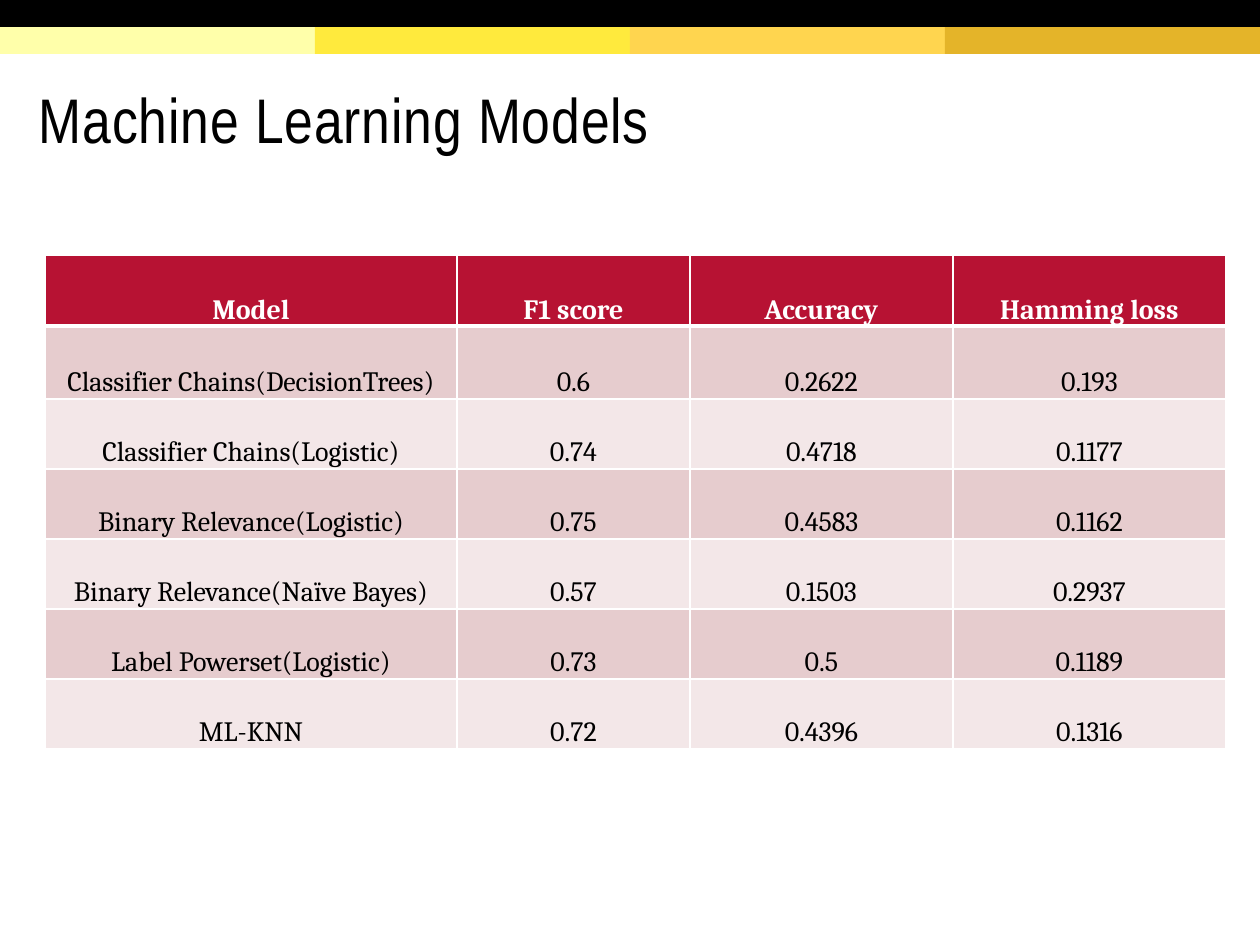
import lxml.etree
import pptx
import pptx.dml.color
import pptx.enum.shapes
import pptx.enum.text
import pptx.oxml.ns
import pptx.util

RGBColor = pptx.dml.color.RGBColor
BLACK = RGBColor(0x00, 0x00, 0x00)
WHITE = RGBColor(0xFF, 0xFF, 0xFF)
CRIMSON = RGBColor(0xB7, 0x12, 0x33)
ROSE = RGBColor(0xE6, 0xCC, 0xCE)
PALE_ROSE = RGBColor(0xF3, 0xE7, 0xE8)
BAND_COLORS = [
    RGBColor(0xFF, 0xFF, 0xAA),
    RGBColor(0xFF, 0xEA, 0x3D),
    RGBColor(0xFF, 0xD5, 0x4F),
    RGBColor(0xE4, 0xB4, 0x29),
]

SLIDE_WIDTH, SLIDE_HEIGHT = 1260, 945
BAND_HEIGHT = 27
COLUMN_WIDTHS = [412, 233, 263, 273]
ROW_HEIGHTS = [71, 73] + [70] * 5
RESULTS = [
    ("Model", "F1 score", "Accuracy", "Hamming loss"),
    ("Classifier Chains(DecisionTrees)", "0.6", "0.2622", "0.193"),
    ("Classifier Chains(Logistic)", "0.74", "0.4718", "0.1177"),
    ("Binary Relevance(Logistic)", "0.75", "0.4583", "0.1162"),
    ("Binary Relevance(Naïve Bayes)", "0.57", "0.1503", "0.2937"),
    ("Label Powerset(Logistic)", "0.73", "0.5", "0.1189"),
    ("ML-KNN", "0.72", "0.4396", "0.1316"),
]


def px(length):
    return pptx.util.Emu(round(length * 914400 / 126))


class SlideBuilder:
    title_font = "Arial Narrow"
    table_font = "Cambria"

    def __init__(self, slide):
        self.slide = slide

    def style_font(self, font, name, size, color, bold=False):
        font.name = name
        font.size = pptx.util.Pt(size)
        font.color.rgb = color
        font.bold = bold

    def set_margins(self, target, left, top, right, bottom):
        target.margin_left, target.margin_top = px(left), px(top)
        target.margin_right, target.margin_bottom = px(right), px(bottom)

    def rectangle(self, left, top, width, height, color):
        shape = self.slide.shapes.add_shape(
            pptx.enum.shapes.MSO_SHAPE.RECTANGLE,
            px(left), px(top), px(width), px(height))
        shape.shadow.inherit = False
        shape.fill.solid()
        shape.fill.fore_color.rgb = color
        shape.line.fill.background()

    def title(self, left, top, width, height, text):
        shape = self.slide.shapes.add_textbox(px(left), px(top), px(width), px(height))
        frame = shape.text_frame
        frame.word_wrap = True
        frame.vertical_anchor = pptx.enum.text.MSO_ANCHOR.MIDDLE
        self.set_margins(frame, 13, 13, 13, 6)
        paragraph = frame.paragraphs[0]
        paragraph.line_spacing = 0.85
        run = paragraph.add_run()
        run.text = text
        self.style_font(run.font, self.title_font, 36, BLACK)
        run.font._element.set("spc", "50")

    def borders(self, cell, top, bottom):
        properties = cell._tc.get_or_add_tcPr()
        widths = {"a:lnL": 1, "a:lnR": 1, "a:lnT": top, "a:lnB": bottom}
        for index, (tag, width) in enumerate(widths.items()):
            line = lxml.etree.Element(pptx.oxml.ns.qn(tag), w=str(pptx.util.Pt(width)))
            fill = lxml.etree.SubElement(line, pptx.oxml.ns.qn("a:solidFill"))
            lxml.etree.SubElement(fill, pptx.oxml.ns.qn("a:srgbClr"), val=str(WHITE))
            properties.insert(index, line)

    def cell(self, cell, text, row):
        header = row == 0
        cell.text = text
        cell.vertical_anchor = pptx.enum.text.MSO_ANCHOR.BOTTOM
        self.set_margins(cell, 1, 1, 1, 0)
        cell.fill.solid()
        cell.fill.fore_color.rgb = CRIMSON if header else ROSE if row % 2 else PALE_ROSE
        paragraph = cell.text_frame.paragraphs[0]
        paragraph.alignment = pptx.enum.text.PP_ALIGN.CENTER
        self.style_font(paragraph.font, self.table_font, 16,
                        WHITE if header else BLACK, header)
        self.borders(cell, top=3 if row == 1 else 1, bottom=3 if header else 1)

    def table(self, left, top, column_widths, row_heights, rows):
        table = self.slide.shapes.add_table(
            len(rows), len(column_widths), px(left), px(top),
            px(sum(column_widths)), px(sum(row_heights))).table
        for column, width in zip(table.columns, column_widths):
            column.width = px(width)
        for table_row, height in zip(table.rows, row_heights):
            table_row.height = px(height)
        for row, values in enumerate(rows):
            for column, text in enumerate(values):
                self.cell(table.cell(row, column), text, row)


def main():
    presentation = pptx.Presentation()
    presentation.slide_width = px(SLIDE_WIDTH)
    presentation.slide_height = px(SLIDE_HEIGHT)
    builder = SlideBuilder(presentation.slides.add_slide(presentation.slide_layouts[6]))

    band_width = SLIDE_WIDTH // len(BAND_COLORS)
    for index, color in enumerate(BAND_COLORS):
        builder.rectangle(index * band_width, BAND_HEIGHT, band_width, BAND_HEIGHT, color)
    builder.rectangle(0, 0, SLIDE_WIDTH, BAND_HEIGHT, BLACK)

    builder.title(26, 59, 1196, 123, "Machine Learning Models")
    builder.table(45, 255, COLUMN_WIDTHS, ROW_HEIGHTS, RESULTS)
    presentation.save("out.pptx")


if __name__ == "__main__":
    main()
